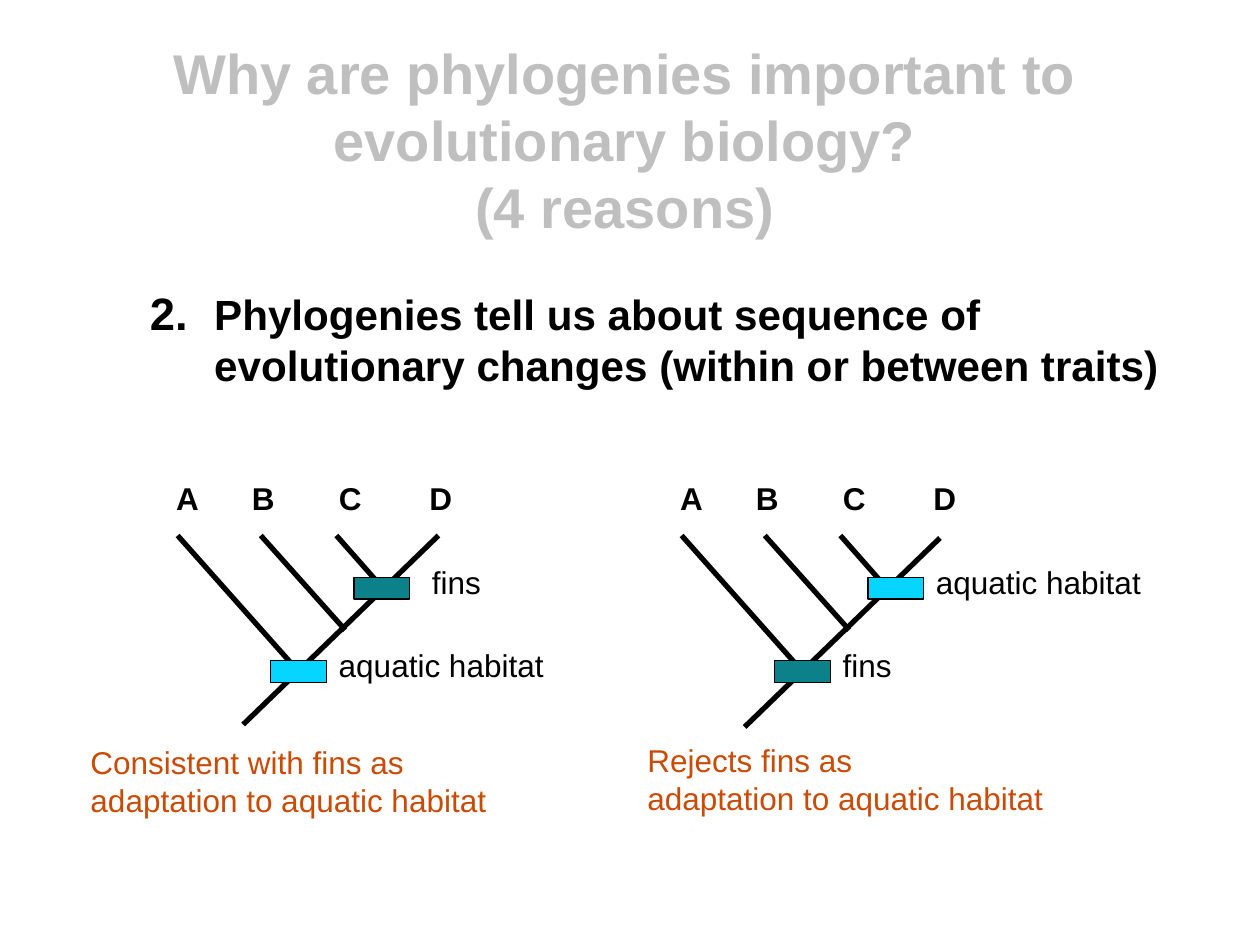
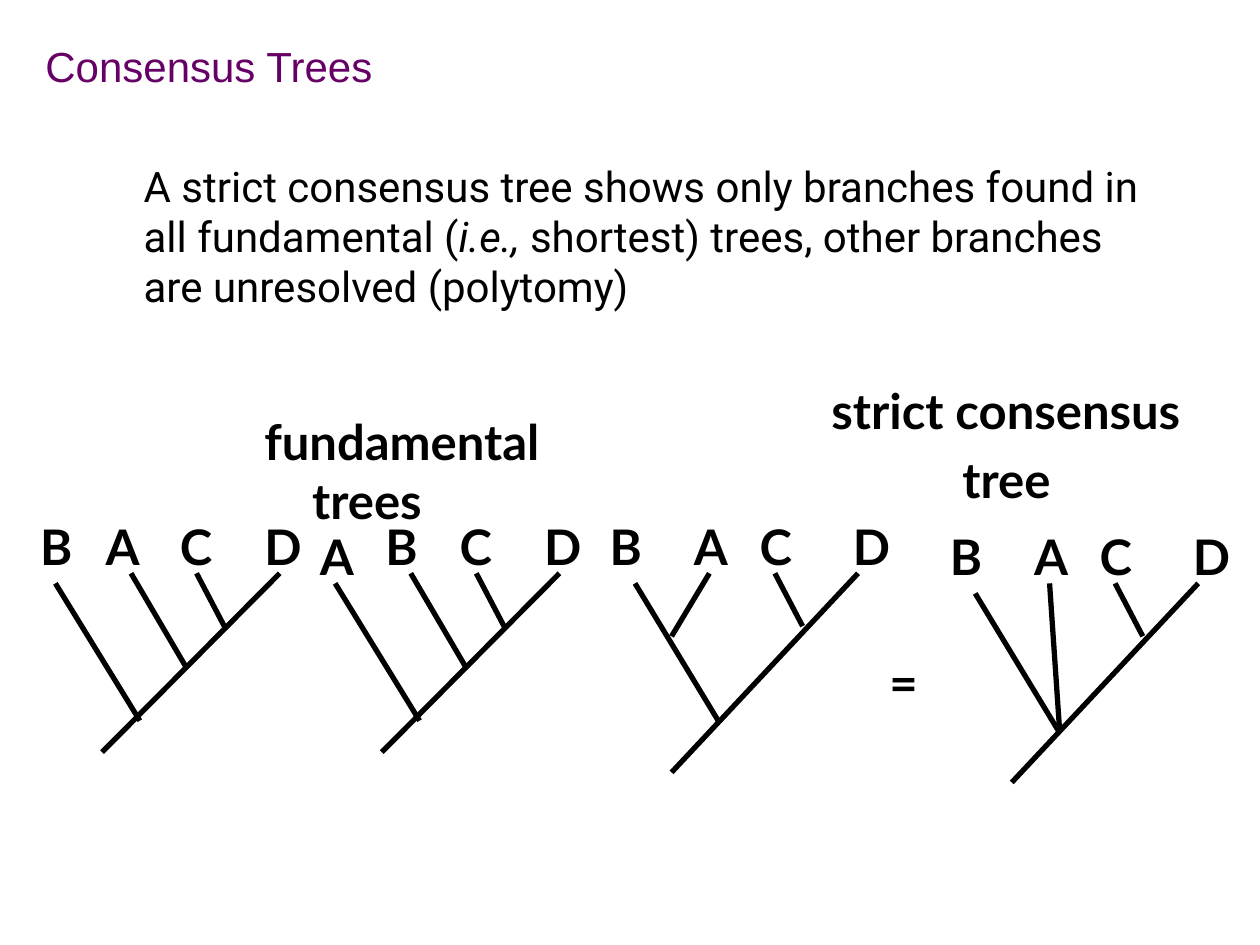
from lxml import etree
from pptx import Presentation
from pptx.dml.color import RGBColor
from pptx.enum.shapes import MSO_CONNECTOR, MSO_SHAPE
from pptx.enum.text import MSO_ANCHOR, MSO_AUTO_SIZE, PP_ALIGN
from pptx.oxml.ns import qn
from pptx.util import Inches, Pt

STRAIGHT = MSO_CONNECTOR.STRAIGHT
RECT = MSO_SHAPE.RECTANGLE
LEFT, CENTER = PP_ALIGN.LEFT, PP_ALIGN.CENTER
MIDDLE, NONE = MSO_ANCHOR.MIDDLE, MSO_AUTO_SIZE.NONE

BLACK = RGBColor(0, 0, 0)
GRAY = RGBColor(0xBF, 0xBF, 0xBF)
PURPLE = RGBColor(0x66, 0x00, 0x66)
ORANGE = RGBColor(0xCA, 0x4B, 0x05)
TEAL = RGBColor(0x0C, 0x81, 0x8A)
CYAN = RGBColor(0x05, 0xD5, 0xFF)

TRAIT_TREE = [
    ((1.93, 5.75), (3.48, 4.25)),
    ((2.67, 4.25), (3.04, 4.67)),
    ((2.07, 4.25), (2.74, 5)),
    ((1.41, 4.25), (2.37, 5.33)),
]
TRAIT_TIPS = [("A", 1.3), ("B", 1.9), ("C", 2.59), ("D", 3.31)]

COMB_TREE = [
    ((2.22, 4.55), (0.81, 5.97)),
    ((0.44, 4.63), (1.11, 5.72)),
    ((1.04, 4.55), (1.48, 5.3)),
    ((1.56, 4.55), (1.78, 4.97)),
]
COMB_TIPS = [0.22, 0.74, 1.33, 2]

FORK_TREE = [
    ((6.81, 4.55), (5.33, 6.13)),
    ((5.04, 4.63), (5.7, 5.72)),
    ((6.15, 4.55), (6.37, 4.97)),
]
FORK_TIPS = [("B", 4.74), ("A", 5.41), ("C", 5.93), ("D", 6.67)]


def add_run(para, text, size, font="Arial", color=BLACK, bold=False, italic=False):
    run = para.add_run()
    run.text = text
    run.font.name = font
    run.font.size = Pt(size)
    run.font.color.rgb = color
    run.font.bold = bold
    run.font.italic = italic


def indent(para, left, first=0):
    props = para._p.get_or_add_pPr()
    props.set("marL", str(Inches(left)))
    props.set("indent", str(Inches(first)))
    return props


def place(holder, left, top, width, height):
    holder.left, holder.top = Inches(left), Inches(top)
    holder.width, holder.height = Inches(width), Inches(height)
    frame = holder.text_frame
    frame.auto_size = NONE
    frame.word_wrap = True
    return frame.paragraphs[0]


def add_title(slide, box, lines, size, color, align, bold=False):
    para = place(slide.shapes.title, *box)
    slide.shapes.title.text_frame.vertical_anchor = MIDDLE
    para.alignment = align
    for i, line in enumerate(lines):
        if i:
            para.add_line_break()
        add_run(para, line, size, color=color, bold=bold)


def add_body(slide, box, left=0, first=0):
    para = place(slide.placeholders[1], *box)
    props = indent(para, left, first)
    etree.SubElement(props, qn("a:buNone"))
    para.space_before = Pt(0)
    return para


def add_text(slide, left, top, width, height, lines, size=18, **style):
    box = slide.shapes.add_textbox(0, 0, 0, 0)
    para = place(box, left, top, width, height)
    for i, line in enumerate(lines):
        if i:
            para = box.text_frame.add_paragraph()
        add_run(para, line, size, **style)
    return box.text_frame.paragraphs


def add_limb(slide, start, end, x=0, y=0):
    limb = slide.shapes.add_connector(
        STRAIGHT,
        Inches(start[0] + x), Inches(start[1] + y),
        Inches(end[0] + x), Inches(end[1] + y),
    )
    limb.line.color.rgb = BLACK
    limb.line.width = Pt(3)
    etree.SubElement(limb._element.spPr, qn("a:effectLst"))


def add_tree(slide, limbs, x=0, y=0):
    for start, end in limbs:
        add_limb(slide, start, end, x, y)


def add_mark(slide, left, top, color):
    mark = slide.shapes.add_shape(
        RECT, Inches(left), Inches(top), Inches(0.44), Inches(0.17))
    mark.shadow.inherit = False
    mark.fill.solid()
    mark.fill.fore_color.rgb = color
    mark.line.color.rgb = BLACK
    mark.line.width = Pt(0.75)


def add_label(slide, text, left, top, width=0.44, height=0.4):
    return add_text(slide, left, top, width, height, [text], 28, font="Lato", bold=True)


def add_traits(slide, x, stem, upper, lower):
    add_tree(slide, TRAIT_TREE[:1], x - stem, stem)
    add_tree(slide, TRAIT_TREE[1:], x)
    for name, left in TRAIT_TIPS:
        add_text(slide, left + x, 3.75, 0.39, 0.4, [name], bold=True)
    for (name, color, text_x, mark_x), top in ((upper, 4.42), (lower, 5.08)):
        add_mark(slide, mark_x, top + 0.165, color)
        add_text(slide, text_x, top, 2.3, 0.4, [name])


def add_fork(slide, x, y, branch):
    add_tree(slide, FORK_TREE + [branch], x, y)
    for name, left in FORK_TIPS:
        add_label(slide, name, left + x, 4.05 + y)


def reason_slide(deck):
    slide = deck.slides.add_slide(deck.slide_layouts[1])
    add_title(slide, (0.96, 0.29, 8, 1.63),
              ["Why are phylogenies important to evolutionary biology?", "(4 reasons)"],
              32, GRAY, CENTER, True)
    para = add_body(slide, (1.09, 2.21, 8.65, 1.25), 0.51, -0.51)
    add_run(para, "2.\t", 25.9, bold=True)
    add_run(para, "Phylogenies tell us about sequence of evolutionary changes "
                  "(within or between traits)", 24.1, bold=True)
    add_traits(slide, 0, 0, ("fins", TEAL, 3.33, 2.81),
               ("aquatic habitat", CYAN, 2.59, 2.15))
    add_traits(slide, 4, 0.02, ("aquatic habitat", CYAN, 7.33, 6.89),
               ("fins", TEAL, 6.59, 6.15))
    for left, top, verdict in ((0.62, 5.85, "Consistent with fins as"),
                               (5.04, 5.83, "Rejects fins as")):
        add_text(slide, left, top, 4.3, 0.71,
                 [verdict, "adaptation to aquatic habitat"], color=ORANGE)


def consensus_slide(deck):
    slide = deck.slides.add_slide(deck.slide_layouts[1])
    add_title(slide, (0.26, 0.27, 3, 0.5), ["Consensus Trees"], 24, PURPLE, LEFT)
    para = add_body(slide, (1.04, 1.22, 8.22, 1.58))
    add_run(para, "A strict consensus tree shows only branches found in all "
                  "fundamental (", 24, "Roboto")
    add_run(para, "i.e., ", 24, "Roboto", italic=True)
    add_run(para, "shortest) trees, other branches are unresolved (polytomy)", 24, "Roboto")

    for x, names, drop in ((0, "BACD", 0), (2.22, "ABCD", 0.08)):
        add_tree(slide, COMB_TREE, x)
        for i, (name, left) in enumerate(zip(names, COMB_TIPS)):
            add_label(slide, name, left + x, 4.05 + (0 if i else drop))
    add_fork(slide, 0, 0, ((5.63, 4.55), (5.33, 5.05)))
    add_fork(slide, 2.7, 0.08, ((5.63, 4.55), (5.71, 5.72)))

    add_label(slide, "=", 6.96, 5.13)
    heads = add_label(slide, "fundamental trees", 2, 3.22, 3.26)
    indent(heads[0], 0.38, -0.38)
    heads = add_text(slide, 6.5, 2.97, 3.35, 0.4, ["strict consensus", "tree"],
                     28, font="Lato", bold=True)
    indent(heads[1], 1.04)
    heads[1].space_before = Pt(5.6)


def main():
    deck = Presentation()
    deck.slide_width, deck.slide_height = Inches(10), Inches(7.5)
    reason_slide(deck)
    consensus_slide(deck)
    deck.save("out.pptx")


if __name__ == "__main__":
    main()
